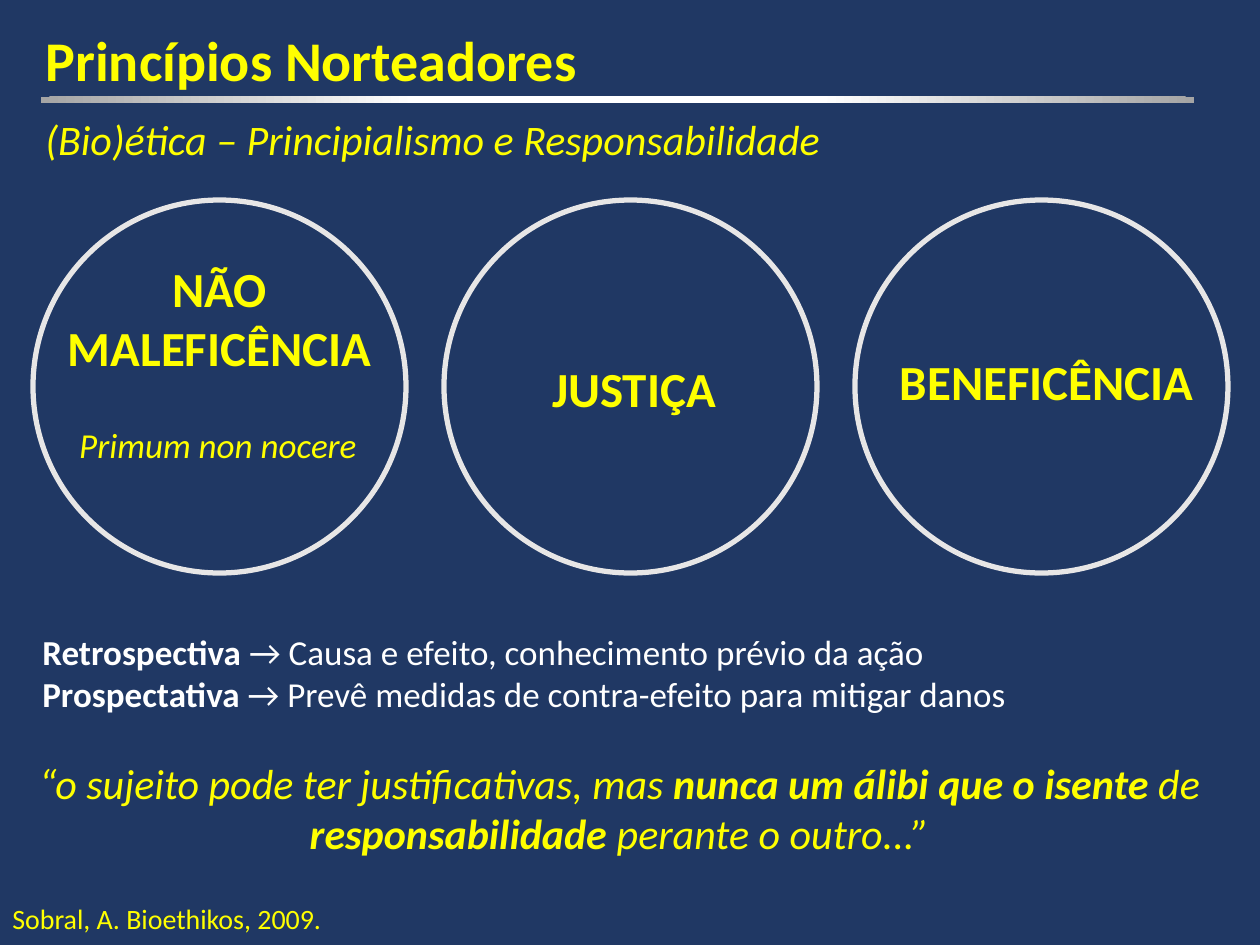
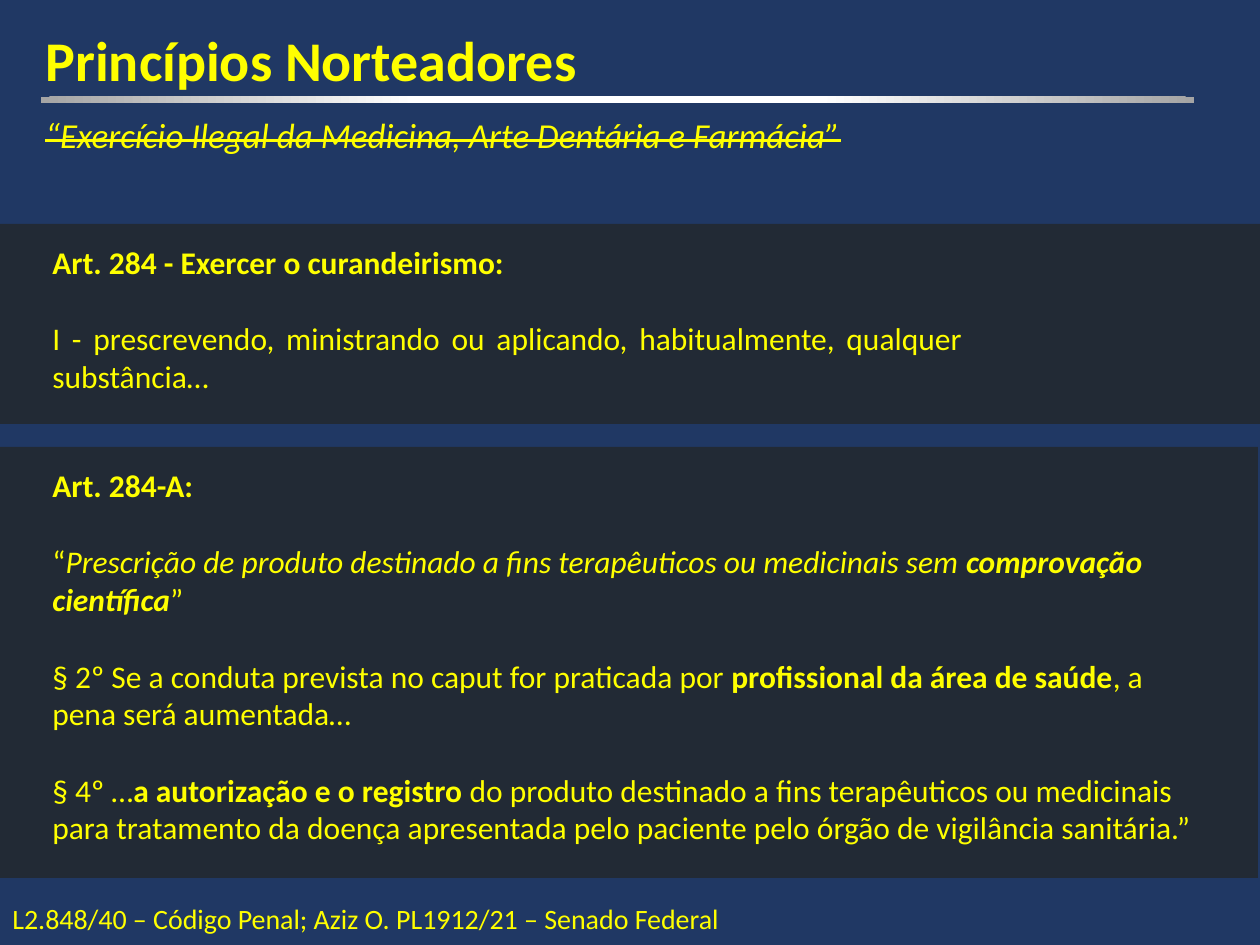
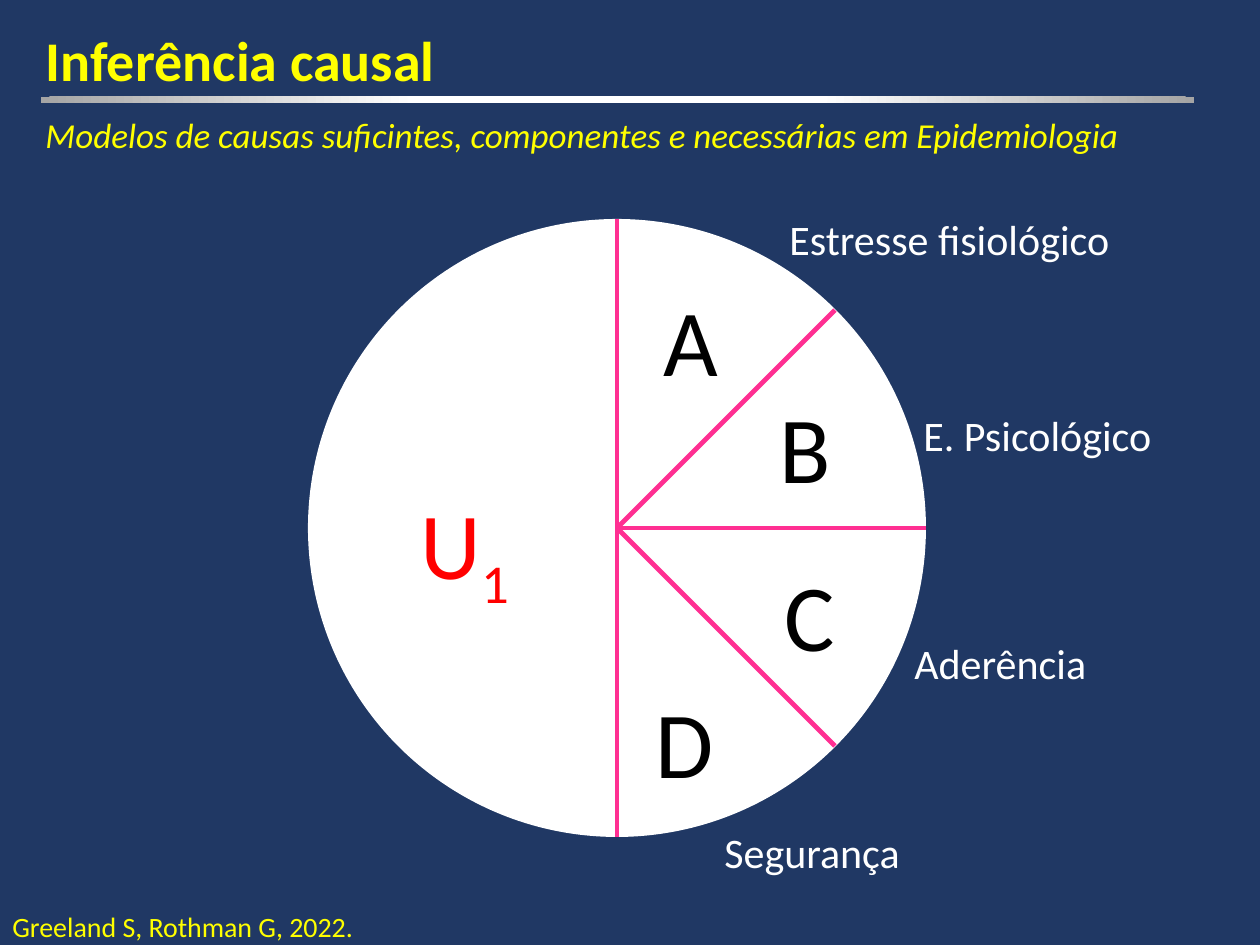
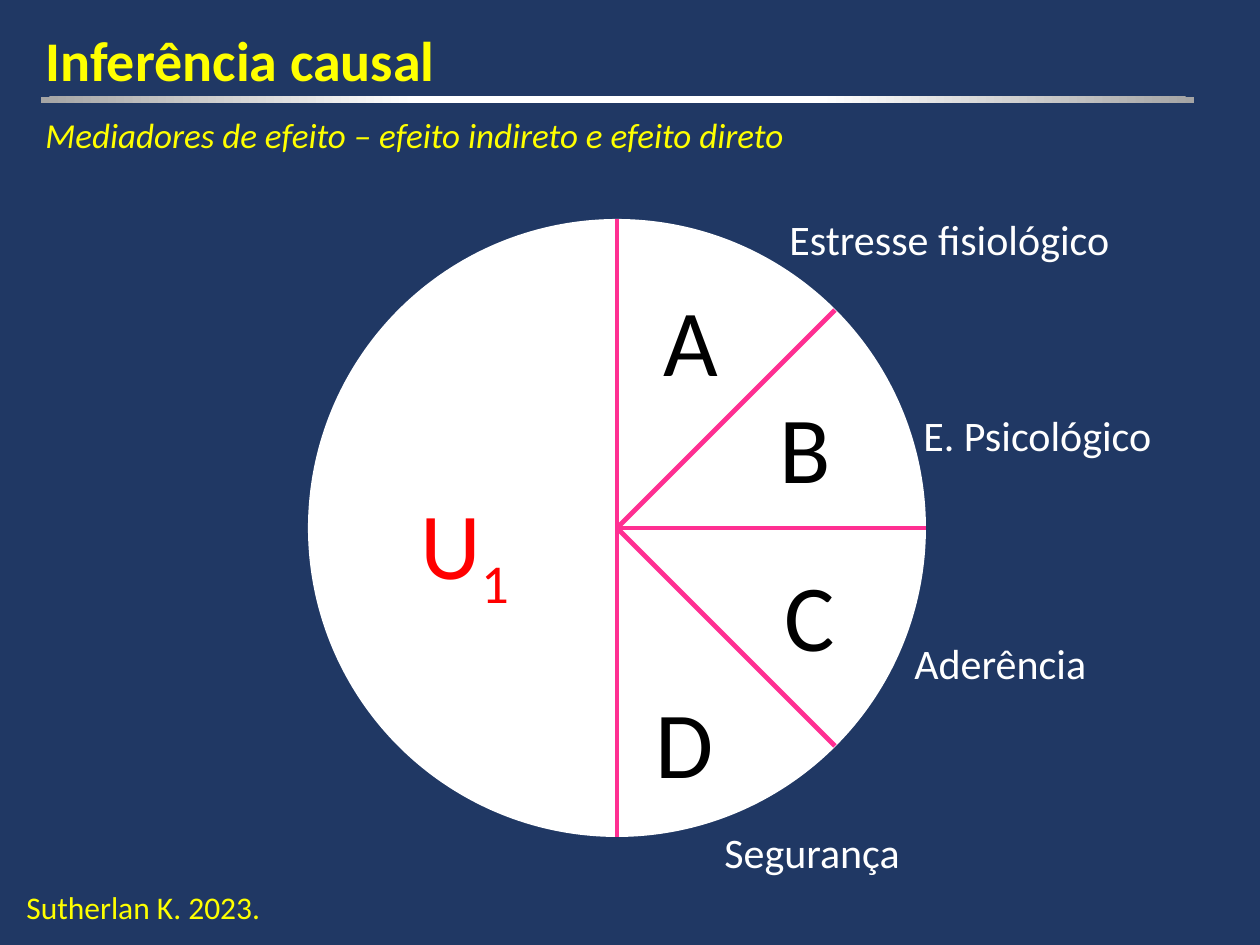
from math import cos, radians, sin

from lxml.etree import SubElement
from pptx import Presentation
from pptx.dml.color import RGBColor
from pptx.enum.shapes import MSO_CONNECTOR, MSO_SHAPE
from pptx.enum.text import MSO_ANCHOR, MSO_AUTO_SIZE, PP_ALIGN
from pptx.oxml import parse_xml
from pptx.oxml.ns import nsdecls, qn
from pptx.util import Inches, Pt

PX = 7257
FONT = "Calibri"
NAVY = RGBColor(0x20, 0x38, 0x64)
YELLOW = RGBColor(0xFF, 0xFF, 0x00)
WHITE = RGBColor(0xFF, 0xFF, 0xFF)
BLACK = RGBColor(0x00, 0x00, 0x00)
RED = RGBColor(0xFF, 0x00, 0x00)
PINK = RGBColor(0xFF, 0x2F, 0x92)
LIGHT_GRAY = RGBColor(0xE7, 0xE6, 0xE6)
CHARCOAL = RGBColor(0x22, 0x2A, 0x35)
LEFT, CENTER, JUSTIFY = PP_ALIGN.LEFT, PP_ALIGN.CENTER, PP_ALIGN.JUSTIFY

RULE_GRADIENT = f"""
<a:gradFill {nsdecls("a")} rotWithShape="1">
  <a:gsLst>
    <a:gs pos="0"><a:srgbClr val="FFFFFF"/></a:gs>
    <a:gs pos="35000"><a:srgbClr val="FFFFFF"/></a:gs>
    <a:gs pos="100000"><a:srgbClr val="A5A5A5"/></a:gs>
  </a:gsLst>
  <a:path path="circle">
    <a:fillToRect l="50000" t="-80000" r="50000" b="180000"/>
  </a:path>
</a:gradFill>"""


def add_text(slide, box, paragraphs, size, color=YELLOW, align=LEFT, wrap=False, gap=0):
    shape = slide.shapes.add_textbox(*[value * PX for value in box])
    frame = shape.text_frame
    frame.word_wrap = wrap
    frame.auto_size = MSO_AUTO_SIZE.SHAPE_TO_FIT_TEXT
    for index, runs in enumerate(paragraphs):
        paragraph = frame.add_paragraph() if index else frame.paragraphs[0]
        paragraph.alignment = align
        if index and gap:
            paragraph.space_before = Pt(gap)
        for text, style in runs:
            run = paragraph.add_run()
            run.text = text
            run.font.name = FONT
            run.font.size = Pt(size)
            run.font.color.rgb = color
            run.font.bold = "bold" in style
            run.font.italic = "italic" in style
            if "strike" in style:
                run.font._element.set("strike", "sngStrike")
            if "subscript" in style:
                run.font._element.set("baseline", "-25000")


def add_figure(slide, kind, box, fill, outline=None):
    shape = slide.shapes.add_shape(kind, *[value * PX for value in box])
    shape.shadow.inherit = False
    shape.fill.solid()
    shape.fill.fore_color.rgb = fill
    if outline:
        shape.line.color.rgb = outline
        shape.line.width = Pt(3)
    else:
        shape.line.fill.background()
    return shape


presentation = Presentation()
presentation.slide_width = Inches(10)
presentation.slide_height = Inches(7.5)
background = presentation.slide_master.background.fill
background.solid()
background.fore_color.rgb = NAVY
title_only = presentation.slide_layouts[5]

headings = [
    ("Princípios Norteadores",
     "(Bio)ética – Principialismo e Responsabilidade", (33, 107, 809, 63), 24, "italic",
     "Sobral, A. Bioethikos, 2009.", (0, 895, 339, 47), 16),
    ("Princípios Norteadores",
     "“Exercício Ilegal da Medicina, Arte Dentária e Farmácia”", (33, 107, 827, 55), 20, "italic strike",
     "L2.848/40 – Código Penal; Aziz O. PL1912/21 – Senado Federal", (0, 895, 747, 47), 16),
    ("Inferência causal",
     "Modelos de causas suficintes, componentes e necessárias em Epidemiologia", (33, 107, 1106, 55), 20, "italic",
     "Greeland S, Rothman G, 2022.", (0, 903, 370, 47), 16),
    ("Inferência causal",
     "Mediadores de efeito – efeito indireto e efeito direto", (33, 107, 769, 55), 20, "italic",
     "Sutherlan K. 2023.", (14, 882, 262, 50), 18),
]
slides = []
for heading, subtitle, subtitle_box, subtitle_size, subtitle_style, source, source_box, source_size in headings:
    slide = presentation.slides.add_slide(title_only)
    title = slide.shapes.title
    title.left, title.top, title.width, title.height = 33 * PX, 19 * PX, 1226 * PX, 179 * PX
    frame = title.text_frame
    frame.vertical_anchor = MSO_ANCHOR.TOP
    frame.auto_size = MSO_AUTO_SIZE.NONE
    paragraph = frame.paragraphs[0]
    paragraph.alignment = LEFT
    run = paragraph.add_run()
    run.text = heading
    run.font.name = FONT
    run.font.size = Pt(32)
    run.font.bold = True
    run.font.color.rgb = YELLOW

    rule = add_figure(slide, MSO_SHAPE.RECTANGLE, (41, 97, 1153, 6), WHITE)
    properties = rule._element.spPr
    properties.replace(properties.find(qn("a:solidFill")), parse_xml(RULE_GRADIENT))
    add_text(slide, subtitle_box, [[(subtitle, subtitle_style)]], subtitle_size)
    add_text(slide, source_box, [[(source, "")]], source_size)
    slides.append(slide)

principles_slide, law_slide, *causal_slides = slides

for column in range(3):
    add_figure(principles_slide, MSO_SHAPE.OVAL, (33 + 411 * column, 200, 373, 373), NAVY, LIGHT_GRAY)
principles = [
    ((53, 252, 333, 131), ["NÃO", "MALEFICÊNCIA"], 28, "bold"),
    ((63, 417, 310, 55), ["Primum non nocere"], 20, "italic"),
    ((885, 345, 323, 72), ["BENEFICÊNCIA"], 28, "bold"),
    ((538, 352, 192, 72), ["JUSTIÇA"], 28, "bold"),
]
for box, lines, size, style in principles:
    add_text(principles_slide, box, [[(line, style)] for line in lines], size, align=CENTER)
add_text(principles_slide, (30, 624, 997, 97), [
    [("Retrospectiva ", "bold"), ("→ Causa e efeito, conhecimento prévio da ação", "")],
    [("Prospectativa", "bold"), (" → Prevê medidas de contra-efeito para mitigar danos", "")],
], 20, WHITE)
add_text(principles_slide, (-18, 751, 1275, 115), [[
    ("“o sujeito pode ter justificativas, mas ", "italic"),
    ("nunca um álibi que o isente ", "bold italic"),
    ("de ", "italic"),
    ("responsabilidade ", "bold italic"),
    ("perante o outro...”", "italic"),
]], 24, align=CENTER, wrap=True)

for panel_box in [(0, 224, 1260, 200), (0, 447, 1258, 431)]:
    add_figure(law_slide, MSO_SHAPE.RECTANGLE, panel_box, CHARCOAL)
add_text(law_slide, (40, 237, 935, 165), [
    [("Art. 284 - Exercer o curandeirismo:", "bold")],
    [("I - prescrevendo, ministrando ou aplicando, habitualmente, qualquer substância…", "")],
], 18, align=JUSTIFY, wrap=True, gap=22)
add_text(law_slide, (40, 460, 1176, 394), [
    [("Art. 284-A:", "bold")],
    [("“", ""),
     ("Prescrição de produto destinado a fins terapêuticos ou medicinais sem ", "italic"),
     ("comprovação científica", "bold italic"),
     ("”", "")],
    [("§ 2º Se a conduta prevista no caput for praticada por ", ""),
     ("profissional da área de saúde", "bold"),
     (", a pena será aumentada…", "")],
    [("§ 4º …", ""),
     ("a autorização e o registro", "bold"),
     (" do produto destinado a fins terapêuticos ou medicinais para tratamento da doença "
      "apresentada pelo paciente pelo órgão de vigilância sanitária.”", "")],
], 18, wrap=True, gap=22)

center_x, center_y, radius = 617, 528, 309
dividers = [(center_x, center_y - radius, center_x, center_y + radius)]
for angle in (-45, 0, 45):
    rim_x = center_x + round(radius * cos(radians(angle)))
    rim_y = center_y + round(radius * sin(radians(angle)))
    dividers.append((rim_x, rim_y, center_x, center_y))
components = [
    ("A", (651, 276, 81, 127)),
    ("B", (767, 383, 77, 127)),
    ("C", (772, 551, 77, 127)),
    ("D", (643, 678, 84, 127)),
]
causes = [
    ("Estresse fisiológico", (777, 207, 349, 63)),
    ("E. Psicológico", (911, 403, 255, 63)),
    ("Aderência", (902, 631, 199, 63)),
    ("Segurança", (712, 820, 203, 63)),
]
for slide in causal_slides:
    add_figure(slide, MSO_SHAPE.OVAL, (center_x - radius, center_y - radius, 2 * radius, 2 * radius), WHITE)
    for ends in dividers:
        divider = slide.shapes.add_connector(MSO_CONNECTOR.STRAIGHT, *[value * PX for value in ends])
        divider.line.color.rgb = PINK
        divider.line.width = Pt(2.75)
        SubElement(divider._element.spPr, qn("a:effectLst"))
    for letter, box in components:
        add_text(slide, box, [[(letter, "")]], 54, BLACK)
    add_text(slide, (408, 479, 118, 127), [[("U", ""), ("1", "subscript")]], 54, RED)
    for cause, box in causes:
        add_text(slide, box, [[(cause, "")]], 24, WHITE)

presentation.save("out.pptx")
